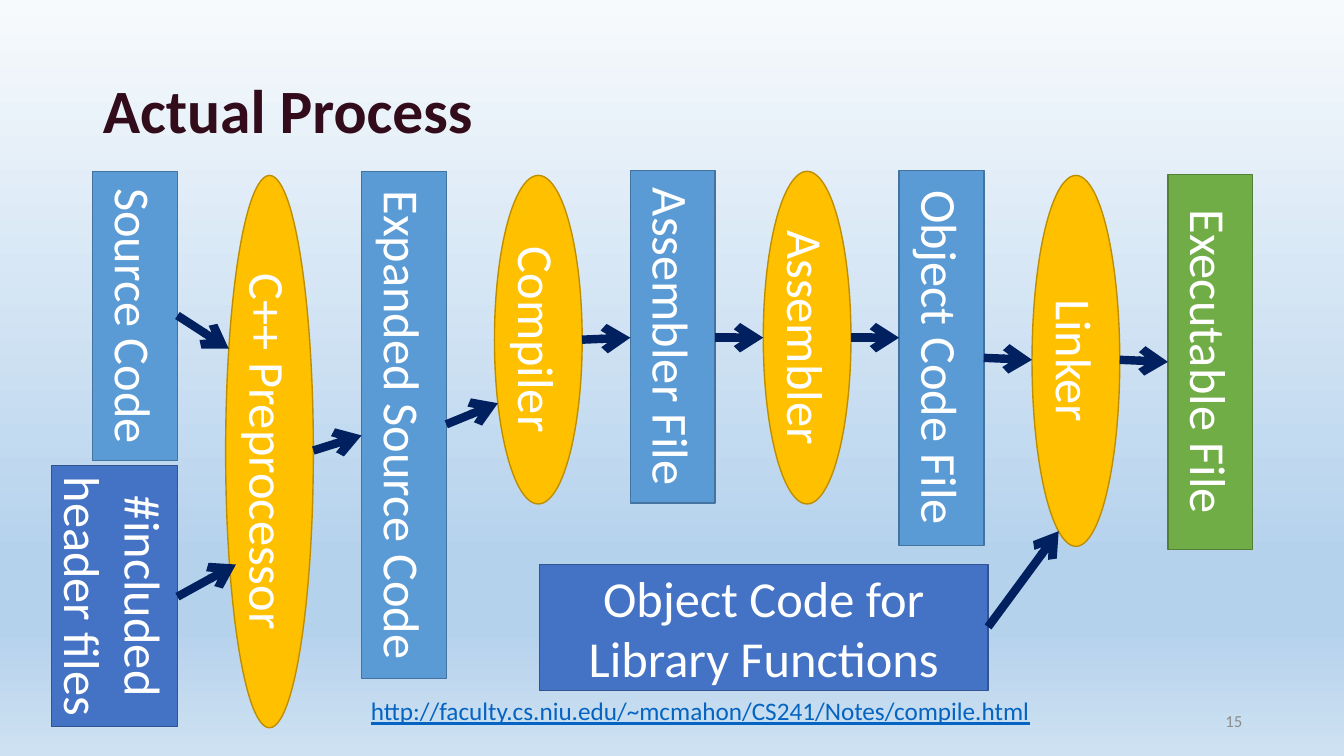
import copy
import math
import pptx
import pptx.dml.color
import pptx.enum.shapes
import pptx.enum.text
import pptx.oxml
import pptx.oxml.ns
import pptx.util
from pptx.util import Inches

SHAPE = pptx.enum.shapes.MSO_SHAPE
ALIGN = pptx.enum.text.PP_ALIGN
ANCHOR = pptx.enum.text.MSO_ANCHOR

THEME = {
    "font": "Calibri",
    "title": (44, "320C1A"), "label": (36, "FFFFFF"),
    "link": (18, "0563C1"), "number": (12, "8C8C8C"),
    "file": ("5B9BD5", "43739E"), "tool": ("FFC000", "BD8E00"),
    "result": ("70AD47", "538035"), "extra": ("4472C4", "325491"),
    "arrow": "002060", "arrow_width": 6,
    "background": [(0, "F7FAFD"), (0.74, "B5D2EC"), (0.83, "B5D2EC"), (1, "CEE1F2")],
}
FIRST_CENTER, STAGE_STEP = 1.34, 1.333
THICKNESS = {"file": 0.84, "result": 0.84, "tool": 0.87}

# text, kind, top, height
STAGES = [
    ("Source Code", "file", 1.7, 2.87),
    ("C++ Preprocessor", "tool", 1.74, 5.48),
    ("Expanded Source Code", "file", 1.7, 5.03),
    ("Compiler", "tool", 1.74, 3.26),
    ("Assembler File", "file", 1.69, 3.3),
    ("Assembler", "tool", 1.7, 3.3),
    ("Object Code File", "file", 1.69, 3.72),
    ("Linker", "tool", 1.74, 3.68),
    ("Executable File", "result", 1.73, 3.72),
]
# start and end height of the arrow after each stage
STAGE_ARROWS = [(3.13, 3.46), (4.47, 4.32), (4.21, 4), (3.37, 3.35), (3.35, 3.35),
                (3.35, 3.35), (3.55, 3.57), (3.57, 3.59)]
# text, left, top, width, height, turned, arrow start, arrow end
EXTRAS = [
    ("#included header files", 0.51, 4.62, 1.25, 2.59, True, (1.76, 5.92), (2.34, 5.6)),
    ("Object Code for Library Functions", 5.35, 5.6, 4.45, 1.25, False,
     (9.8, 6.22), (10.5, 5.27)),
]


def color(code):
    """Turn a hex code into a colour."""
    return pptx.dml.color.RGBColor.from_string(code)


def write(shape, text, style, align=ALIGN.LEFT, anchor=ANCHOR.MIDDLE, wrap=True):
    """Put styled text in a shape and return its paragraph and span."""
    frame = shape.text_frame
    frame.text = text
    frame.word_wrap = wrap
    frame.vertical_anchor = anchor
    para = frame.paragraphs[0]
    para.alignment = align
    span = para.runs[0]
    size, code = THEME[style]
    span.font.name = THEME["font"]
    span.font.size = pptx.util.Pt(size)
    span.font.color.rgb = color(code)
    return para, span


def paint_background(page):
    """Fill the page with a top-to-bottom gradient."""
    fill = page.background.fill
    fill.gradient()
    fill.gradient_angle = 270
    stop_list = page._element.find(".//" + pptx.oxml.ns.qn("a:gsLst"))
    for _ in THEME["background"][2:]:
        stop_list.append(copy.deepcopy(stop_list[0]))
    for stop, (position, code) in zip(fill.gradient_stops, THEME["background"]):
        stop.position = position
        stop.color.rgb = color(code)


def add_block(page, text, kind, left, top, width, height, turned=True):
    """Add a labelled block, turned a quarter so its text reads downward."""
    preset = SHAPE.OVAL if kind == "tool" else SHAPE.RECTANGLE
    if turned:
        left, top = left + (width - height) / 2, top + (height - width) / 2
        width, height = height, width
    block = page.shapes.add_shape(preset, Inches(left), Inches(top),
                                  Inches(width), Inches(height))
    block.rotation = 90 if turned else 0
    block.shadow.inherit = False
    fill_code, line_code = THEME[kind]
    block.fill.solid()
    block.fill.fore_color.rgb = color(fill_code)
    block.line.color.rgb = color(line_code)
    block.line.width = pptx.util.Pt(1)
    write(block, text, "label", ALIGN.CENTER)


def add_arrow(page, start, end):
    """Add a thick arrow between two points."""
    points = [Inches(value) for value in (*start, *end)]
    arrow = page.shapes.add_connector(pptx.enum.shapes.MSO_CONNECTOR.STRAIGHT, *points)
    arrow.line.color.rgb = color(THEME["arrow"])
    arrow.line.width = pptx.util.Pt(THEME["arrow_width"])
    head = pptx.oxml.parse_xml(
        '<a:tailEnd %s type="arrow"/>' % pptx.oxml.ns.nsdecls("a"))
    arrow.line._get_or_add_ln().append(head)
    arrow._element.spPr.append(
        pptx.oxml.parse_xml("<a:effectLst %s/>" % pptx.oxml.ns.nsdecls("a")))


def edge_point(index, side, height_at):
    """Find where a stage outline meets a height; side is -1 left or 1 right."""
    _, kind, top, height = STAGES[index]
    reach = THICKNESS[kind] / 2
    if kind == "tool":
        reach *= math.sqrt(1 - ((height_at - top) / (height / 2) - 1) ** 2)
    return FIRST_CENTER + index * STAGE_STEP + side * reach, height_at


def add_text(page, text, style, area, **options):
    """Add a text box and return its span."""
    box = page.shapes.add_textbox(*[Inches(value) for value in area])
    return write(box, text, style, **options)[1]


deck = pptx.Presentation()
deck.slide_width, deck.slide_height = Inches(13.33), Inches(7.5)
page = deck.slides.add_slide(deck.slide_layouts[5])
paint_background(page)

title = page.shapes.title
title.left, title.top = Inches(0.92), Inches(0.4)
title.width, title.height = Inches(11.5), Inches(1.45)
title_para, title_span = write(title, "Actual Process", "title")
title.text_frame.auto_size = pptx.enum.text.MSO_AUTO_SIZE.NONE
title_para.line_spacing = 0.9
title_span.font.bold = True

link_span = add_text(page, "http://faculty.cs.niu.edu/~mcmahon/CS241/Notes/compile.html",
                     "link", (3.58, 6.85, 6.81, 0.4), anchor=ANCHOR.TOP, wrap=False)
link_span.font.underline = True

for index, (text, kind, top, height) in enumerate(STAGES):
    width = THICKNESS[kind]
    left = FIRST_CENTER + index * STAGE_STEP - width / 2
    add_block(page, text, kind, left, top, width, height)
for text, left, top, width, height, turned, _, _ in EXTRAS:
    add_block(page, text, "extra", left, top, width, height, turned)

for index, (start_height, end_height) in enumerate(STAGE_ARROWS):
    add_arrow(page, edge_point(index, 1, start_height), edge_point(index + 1, -1, end_height))
for *_, start, end in EXTRAS:
    add_arrow(page, start, end)

add_text(page, "15", "number", (9.42, 6.95, 3, 0.4), align=ALIGN.RIGHT)

deck.save("out.pptx")
